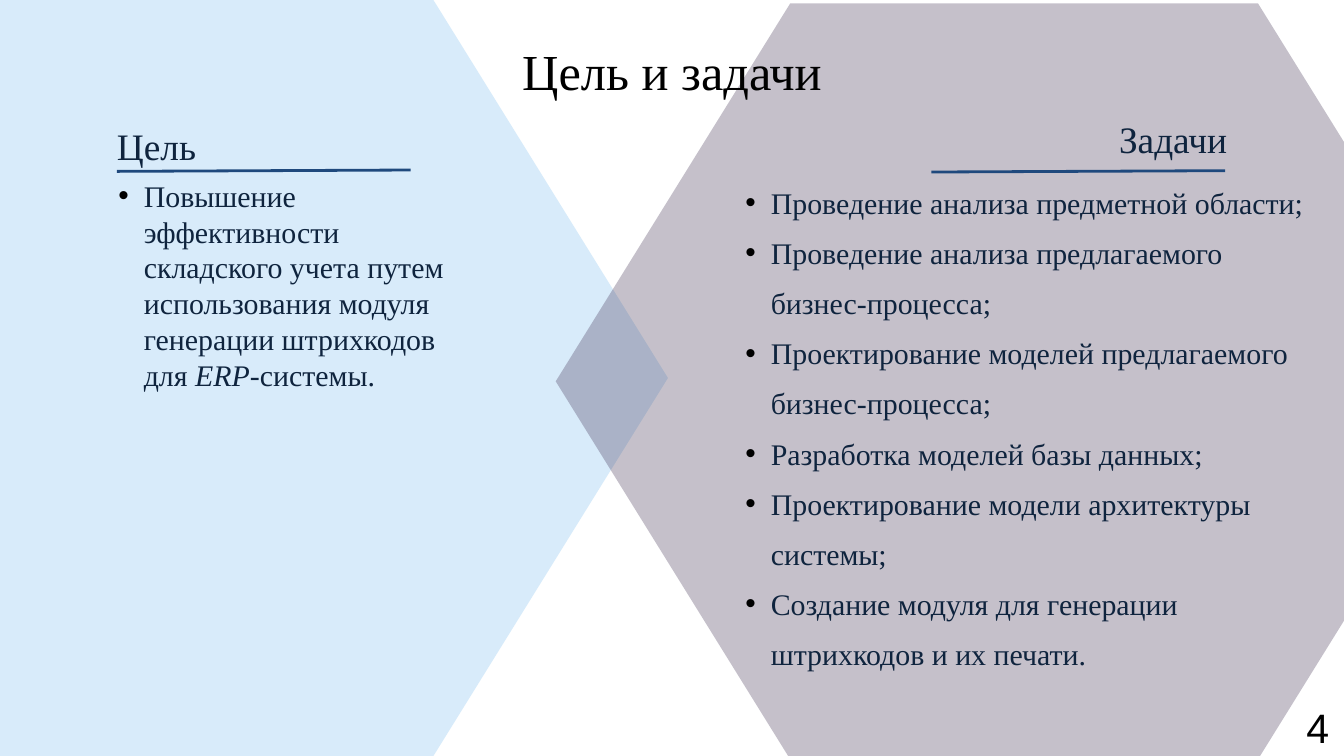
from lxml.etree import SubElement
from pptx import Presentation
from pptx.dml.color import RGBColor
from pptx.enum.text import MSO_ANCHOR, MSO_AUTO_SIZE, PP_ALIGN
from pptx.oxml.ns import qn
from pptx.util import Inches, Pt

TITLE = "Цель и задачи"
GOAL_HEADING = "Цель"
TASKS_HEADING = "Задачи"
# Each list item is a sequence of (text, italic) pieces.
GOAL = [[
    ("Повышение эффективности складского учета путем использования модуля "
     "генерации штрихкодов для ", False),
    ("ERP", True),
    ("-системы.", False),
]]
TASKS = [[(task, False)] for task in (
    "Проведение анализа предметной области;",
    "Проведение анализа предлагаемого бизнес-процесса;",
    "Проектирование моделей предлагаемого бизнес-процесса;",
    "Разработка моделей базы данных;",
    "Проектирование модели архитектуры системы;",
    "Создание модуля для генерации штрихкодов и их печати.",
)]
PAGE_NUMBER = "4"

SERIF = "Times New Roman"
NAVY, BLACK, RULE_BLUE = "0F243E", "000000", "1F497D"
HEXAGONS = [  # left, top, colour, opacity in percent
    (-4, 0, "2994E5", 18),
    (8.27, 0.05, "403152", 30),
]
HEX_WIDTH, HEX_HEIGHT, HEX_SLANT = 13.94, 11.25, 3.49
RULES = [(1.74, 2.55), (13.86, 2.56)]
RULE_WIDTH, RULE_RISE = 4.37, 0.02
HANGING = 0.38


def rgb(colour):
    return RGBColor.from_string(colour)


def add_hexagon(slide, layer, left, top, colour, opacity):
    right, bottom, middle = left + HEX_WIDTH, top + HEX_HEIGHT, top + HEX_HEIGHT / 2
    corners = [
        (right - HEX_SLANT, top), (left + HEX_SLANT, top), (left, middle),
        (left + HEX_SLANT, bottom), (right - HEX_SLANT, bottom), (right, middle),
    ]
    points = [(Inches(x), Inches(y)) for x, y in corners]
    outline = slide.shapes.build_freeform(*points[0])
    outline.add_line_segments(points[1:], close=True)
    hexagon = outline.convert_to_shape()
    hexagon.shadow.inherit = False
    hexagon.line.fill.background()
    hexagon.fill.solid()
    hexagon.fill.fore_color.rgb = rgb(colour)
    tint = hexagon._element.spPr.find(qn("a:solidFill"))[0]
    SubElement(tint, qn("a:alpha"), val=str(opacity * 1000))
    # Keep the hexagons behind the placeholders.
    slide.shapes._spTree.insert(2 + layer, hexagon._element)


def add_rule(slide, left, top):
    rule = slide.shapes.add_connector(
        1, Inches(left), Inches(top),
        Inches(left + RULE_WIDTH), Inches(top - RULE_RISE))
    rule.line.color.rgb = rgb(RULE_BLUE)
    rule.line.width = Pt(3)
    SubElement(rule._element.spPr, qn("a:effectLst"))


def place(shape, left, top, width, height, inset=0.0):
    """Position a text shape and return its prepared text frame."""
    shape.left, shape.top = Inches(left), Inches(top)
    shape.width, shape.height = Inches(width), Inches(height)
    frame = shape.text_frame
    frame.word_wrap = True
    frame.auto_size = MSO_AUTO_SIZE.NONE
    frame.vertical_anchor = MSO_ANCHOR.TOP
    frame.margin_left = frame.margin_right = Inches(inset)
    frame.margin_top = frame.margin_bottom = Inches(inset / 2)
    return frame


def style(paragraph, size, colour, align, spacing, face=SERIF):
    paragraph.alignment = align
    paragraph.line_spacing = spacing
    paragraph.space_before = paragraph.space_after = Pt(0)
    font = paragraph.font
    font.name, font.size, font.bold = face, Pt(size), False
    font.color.rgb = rgb(colour)


def write_line(frame, text, *look):
    frame.text = text
    style(frame.paragraphs[0], *look)


def write_list(frame, items, spacing):
    for number, pieces in enumerate(items):
        paragraph = frame.add_paragraph() if number else frame.paragraphs[0]
        for text, italic in pieces:
            run = paragraph.add_run()
            run.text = text
            if italic:
                run.font.italic = True
        style(paragraph, 32, NAVY, PP_ALIGN.LEFT, spacing)
        properties = paragraph._p.get_or_add_pPr()
        properties.set("marL", str(Inches(HANGING)))
        properties.set("indent", str(-Inches(HANGING)))
        bullet_colour = SubElement(properties, qn("a:buClr"))
        SubElement(bullet_colour, qn("a:srgbClr"), val=BLACK)
        SubElement(properties, qn("a:buFont"), typeface="Arial")
        SubElement(properties, qn("a:buChar"), char="•")
        # The schema wants default run properties after the bullet.
        properties.append(properties.find(qn("a:defRPr")))


def main():
    deck = Presentation()
    deck.slide_width, deck.slide_height = Inches(20), Inches(11.25)
    slide = deck.slides.add_slide(deck.slide_layouts.get_by_name("Comparison"))
    title, goal_heading, goal, tasks_heading, tasks = slide.placeholders

    for layer, hexagon in enumerate(HEXAGONS):
        add_hexagon(slide, layer, *hexagon)

    write_line(place(goal_heading, 1.74, 1.7, 5.01, 0.81),
               GOAL_HEADING, 40, NAVY, PP_ALIGN.LEFT, 1.2)
    write_list(place(goal, 1.76, 2.64, 5.01, 3.24), GOAL, 1.0)
    write_line(place(tasks_heading, 13.25, 1.59, 5.01, 0.81),
               TASKS_HEADING, 40, NAVY, PP_ALIGN.RIGHT, 1.2)
    write_list(place(tasks, 11.09, 2.53, 8.54, 7.54), TASKS, 1.4)

    for rule in RULES:
        add_rule(slide, *rule)

    write_line(place(title, 2.84, 0.36, 14.32, 1.1, 0.1),
               TITLE, 54, BLACK, PP_ALIGN.CENTER, 1.2)
    page_number = slide.shapes.add_textbox(0, 0, 0, 0)
    write_line(place(page_number, 19.09, 10.41, 0.79, 0.84, 0.1),
               PAGE_NUMBER, 44, BLACK, PP_ALIGN.RIGHT, 1.0, "Arial")

    deck.save("out.pptx")


if __name__ == "__main__":
    main()
